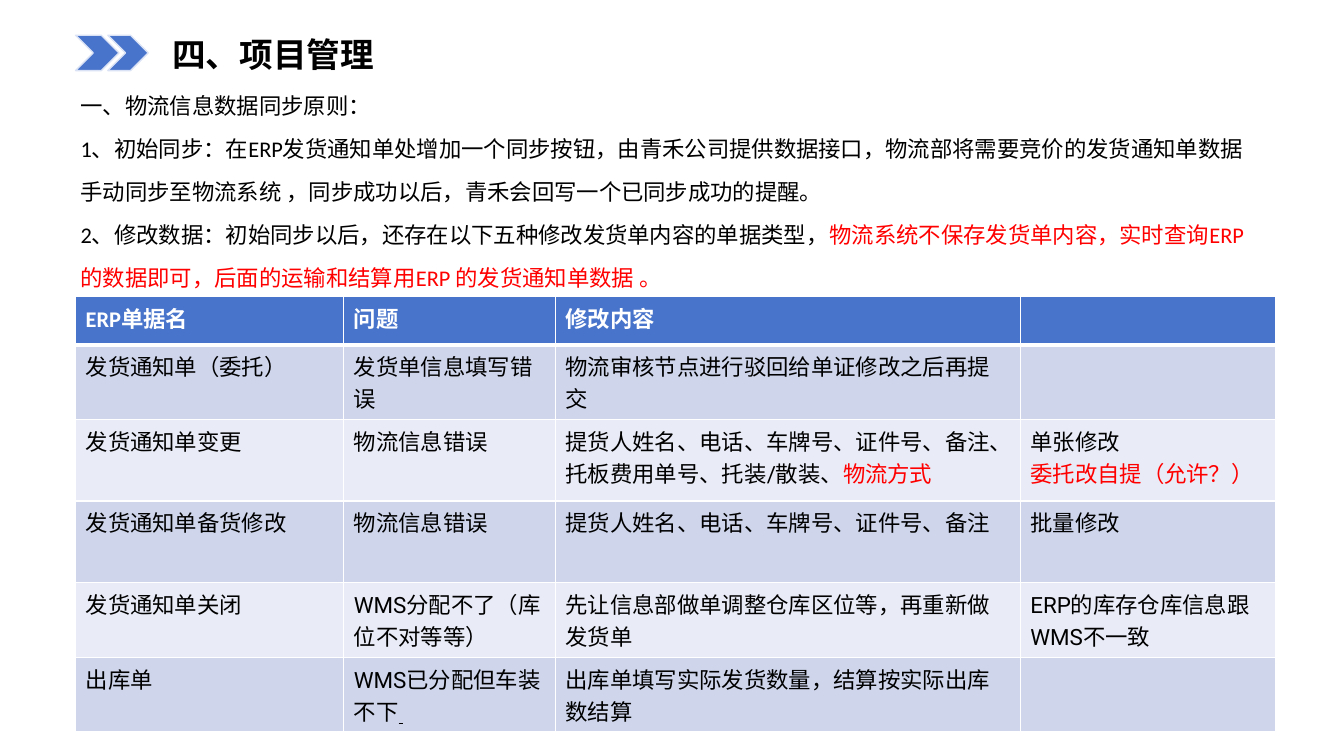
"""Builds the project management slide on logistics data synchronisation."""
from typing import NamedTuple

from lxml import etree
from pptx import Presentation, util as u
from pptx.dml.color import RGBColor
from pptx.enum import shapes, text
from pptx.oxml import ns

BLUE, PALE_BLUE, BLACK, WHITE, RED = "4874CB", "DAE3F5", "000000", "FFFFFF", "FF0000"
BANDS = ("CFD6EC", "E9EBF6")


class Box(NamedTuple):
    left: float
    top: float
    width: float
    height: float


class Span(NamedTuple):
    words: str
    color: str = ""
    underline: bool = False


TITLE_BOX = Box(1.61, 0.29, 2.6, 0.5)
INTRO_BOX = Box(0.7, 0.79, 11.82, 2.15)
TABLE_BOX = Box(0.75, 2.94, 11.9, 4.2)
CHEVRONS = (Box(0.75, 0.35, 0.43, 0.35), Box(1.07, 0.35, 0.4, 0.35))
INTRO = (
    (Span("一、物流信息数据同步原则："),),
    (Span("1、初始同步：在ERP发货通知单处增加一个同步按钮，由青禾公司提供数据接口，物流部将需要竞价的"
          "发货通知单数据手动同步至物流系统 ，同步成功以后，青禾会回写一个已同步成功的提醒。"),),
    (Span("2、修改数据：初始同步以后，还存在以下五种修改发货单内容的单据类型，"),
     Span("物流系统不保存发货单内容，实时查询ERP 的数据即可，"
          "后面的运输和结算用ERP 的发货通知单数据 。", RED)),
)
COLUMN_WIDTHS = (2.66, 2.1, 4.61, 2.53)
ROW_HEIGHTS = (0.48, 0.7, 0.81, 0.81, 0.7, 0.7)
ROWS = (
    ("ERP单据名", "问题", "修改内容", ""),
    ("发货通知单（委托）", "发货单信息填写错误", "物流审核节点进行驳回给单证修改之后再提交", ""),
    ("发货通知单变更", "物流信息错误",
     ((Span("提货人姓名、电话、车牌号、证件号、备注、托板费用单号、托装/散装、"),
       Span("物流方式", RED)),),
     ((Span("单张修改"),), (Span("委托改自提（允许？）", RED),))),
    ("发货通知单备货修改", "物流信息错误", "提货人姓名、电话、车牌号、证件号、备注", "批量修改"),
    ("发货通知单关闭", "WMS分配不了（库位不对等等）",
     "先让信息部做单调整仓库区位等，再重新做发货单", "ERP的库存仓库信息跟WMS不一致"),
    ("出库单", ((Span("WMS已分配但车装不下"), Span(" ", underline=True)),),
     "出库单填写实际发货数量，结算按实际出库数结算", ""),
)


def paint(target, color: str) -> None:
    """Give a fill or line format a solid colour."""
    target.solid()
    target.fore_color.rgb = RGBColor.from_string(color)


def place(shape, box: Box) -> None:
    """Move and resize a shape."""
    shape.left, shape.top, shape.width, shape.height = map(u.Inches, box)


def write(frame, paragraphs: tuple, size: float, font: str, color: str,
          bold: bool = False) -> None:
    """Fill a text frame with paragraphs made of spans."""
    for index, spans in enumerate(paragraphs):
        para = frame.add_paragraph() if index else frame.paragraphs[0]
        para.alignment = text.PP_ALIGN.LEFT
        for span in spans:
            run = para.add_run()
            run.text = span.words
            paint(run.font.fill, span.color or color)
            if span.underline:
                run.font.underline = True
        para.font.size, para.font.name, para.font.bold = u.Pt(size), font, bold


def add_borders(cell, top: float, bottom: float) -> None:
    """Draw white borders around a table cell."""
    properties = cell._tc.get_or_add_tcPr()
    for side, width in (("L", 1), ("R", 1), ("T", top), ("B", bottom)):
        line = etree.SubElement(properties, ns.qn(f"a:ln{side}"), w=str(u.Pt(width)))
        fill = etree.SubElement(line, ns.qn("a:solidFill"))
        etree.SubElement(fill, ns.qn("a:srgbClr"), val=WHITE)


def add_title(slide) -> None:
    """Write the heading in the title placeholder."""
    title = slide.shapes.title
    place(title, TITLE_BOX)
    frame = title.text_frame
    frame.word_wrap = True
    frame.auto_size = text.MSO_AUTO_SIZE.NONE
    write(frame, ((Span("四、项目管理"),),), 24, "Calibri", BLACK, bold=True)


def add_intro(slide) -> None:
    """Write the synchronisation rules in the body placeholder."""
    body = slide.placeholders[1]
    place(body, INTRO_BOX)
    frame = body.text_frame
    frame.word_wrap = True
    frame.auto_size = text.MSO_AUTO_SIZE.NONE
    frame.vertical_anchor = text.MSO_ANCHOR.BOTTOM
    frame.margin_top = 0
    write(frame, INTRO, 16, "Calibri", BLACK)
    for para in frame.paragraphs:
        properties = para._p.get_or_add_pPr()
        properties.set("marL", "0")
        properties.set("indent", "0")
        properties.insert(0, etree.Element(ns.qn("a:buNone")))
        para.line_spacing = 1.6
        para.space_before = u.Pt(0)


def add_chevrons(slide) -> None:
    """Draw the pair of chevrons beside the heading."""
    for box in CHEVRONS:
        chevron = slide.shapes.add_shape(shapes.MSO_SHAPE.CHEVRON, *map(u.Inches, box))
        chevron.shadow.inherit = False
        paint(chevron.fill, BLUE)
        paint(chevron.line.fill, PALE_BLUE)
        chevron.line.width = u.Pt(1)


def add_documents_table(slide) -> None:
    """Add the table of document types and changes."""
    table = slide.shapes.add_table(
        len(ROWS), len(COLUMN_WIDTHS), *map(u.Inches, TABLE_BOX)).table
    for column, width in zip(table.columns, COLUMN_WIDTHS):
        column.width = u.Inches(width)
    for index, (row, height, contents) in enumerate(zip(table.rows, ROW_HEIGHTS, ROWS)):
        row.height = u.Inches(height)
        header = index == 0
        for cell, content in zip(row.cells, contents):
            add_borders(cell, 3 if index == 1 else 1, 3 if header else 1)
            paint(cell.fill, BLUE if header else BANDS[(index - 1) % 2])
            if content:
                paragraphs = ((Span(content),),) if isinstance(content, str) else content
                write(cell.text_frame, paragraphs, 16, "Calibri" if header else "Roboto",
                      WHITE if header else BLACK, bold=header)


def main() -> None:
    """Build and save the deck."""
    deck = Presentation()
    deck.slide_width, deck.slide_height = u.Inches(13.33), u.Inches(7.5)
    page = deck.slides.add_slide(deck.slide_layouts[1])
    add_intro(page)
    add_documents_table(page)
    add_chevrons(page)
    add_title(page)
    deck.save("out.pptx")


if __name__ == "__main__":
    main()
